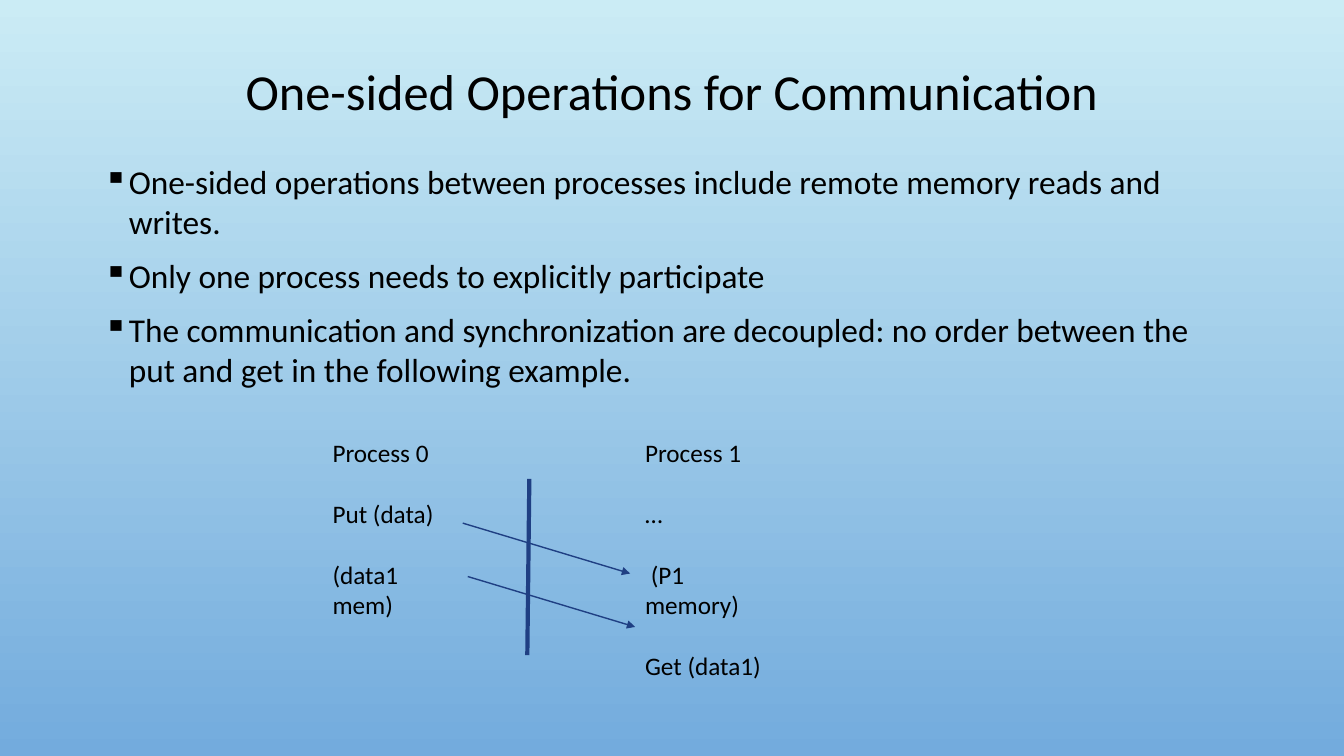
"""Builds the slide on one-sided operations for communication."""
from lxml import etree
from pptx import Presentation
from pptx.dml.color import RGBColor
from pptx.enum.shapes import MSO_CONNECTOR
from pptx.enum.text import MSO_ANCHOR, MSO_AUTO_SIZE, PP_ALIGN
from pptx.oxml.ns import qn
from pptx.util import Inches, Pt

STRAIGHT = MSO_CONNECTOR.STRAIGHT
MIDDLE = MSO_ANCHOR.MIDDLE
NO_FIT = MSO_AUTO_SIZE.NONE
CENTER = PP_ALIGN.CENTER
BLACK = RGBColor(0x00, 0x00, 0x00)
NAVY = RGBColor(0x1F, 0x3F, 0x83)
SKY_TOP = RGBColor(0xCB, 0xEC, 0xF5)
SKY_BOTTOM = RGBColor(0x73, 0xAB, 0xDD)

POINTS = [
    "One-sided operations between processes include remote memory reads and writes.",
    "Only one process needs to explicitly participate",
    "The communication and synchronization are decoupled: no order between "
    "the put and get in the following example.",
]
PROCESSES = [
    (3.2, 1.49, 1.62, ["Process 0", "Put (data)", "(data1 mem)"]),
    (6.3, 1.54, 2.22, ["Process 1", "…", " (P1 memory)", "Get (data1)"]),
]
LINES = [
    (4.59, 5.19, 6.25, 5.69, 1, True),
    (5.25, 4.75, 5.23, 6.5, 3, False),
    (4.64, 5.72, 6.3, 6.22, 1, True),
]


def style(paragraph, size):
    paragraph.font.name = "Calibri"
    paragraph.font.size = Pt(size)
    paragraph.font.color.rgb = BLACK


def add_paragraphs(slide, box, texts, size, gap):
    frame = slide.shapes.add_textbox(*map(Inches, box)).text_frame
    frame.word_wrap = True
    frame.auto_size = NO_FIT
    frame.text = "\n".join(texts)
    for index, paragraph in enumerate(frame.paragraphs):
        style(paragraph, size)
        paragraph.space_before = Pt(gap if index else 0)
    return frame


prs = Presentation()
prs.slide_width, prs.slide_height = Inches(13.33), Inches(7.5)
slide = prs.slides.add_slide(prs.slide_layouts[5])

backdrop = slide.background.fill
backdrop.gradient()
backdrop.gradient_angle = 270
for stop, color in zip(backdrop.gradient_stops, (SKY_TOP, SKY_BOTTOM)):
    stop.color.rgb = color

title = slide.shapes.title
title.left, title.top = Inches(1), Inches(0.32)
title.width, title.height = Inches(11.33), Inches(1.23)
title.text_frame.text = "One-sided Operations for Communication"
title.text_frame.vertical_anchor = MIDDLE
heading = title.text_frame.paragraphs[0]
heading.alignment = CENTER
heading.line_spacing = 0.9
style(heading, 36)

body = add_paragraphs(slide, (0.93, 1.55, 11.33, 2.52), POINTS, 23.8, 10)
for point in body.paragraphs:
    properties = point._p.get_or_add_pPr()
    properties.set("marL", str(Inches(0.25)))
    properties.set("indent", str(-Inches(0.25)))
    etree.SubElement(properties, qn("a:buChar"), char="▪")
    properties.append(properties.find(qn("a:defRPr")))

for left, width, height, steps in PROCESSES:
    process = add_paragraphs(slide, (left, 4.29, width, height), steps, 18, 22)
    process.margin_right = Inches(0.2)

for x1, y1, x2, y2, weight, has_arrow in LINES:
    connector = slide.shapes.add_connector(STRAIGHT, *map(Inches, (x1, y1, x2, y2)))
    connector.line.color.rgb = NAVY
    connector.line.width = Pt(weight)
    if has_arrow:
        etree.SubElement(connector.line._get_or_add_ln(), qn("a:tailEnd"), type="triangle")
    etree.SubElement(connector._element.spPr, qn("a:effectLst"))

prs.save("out.pptx")
